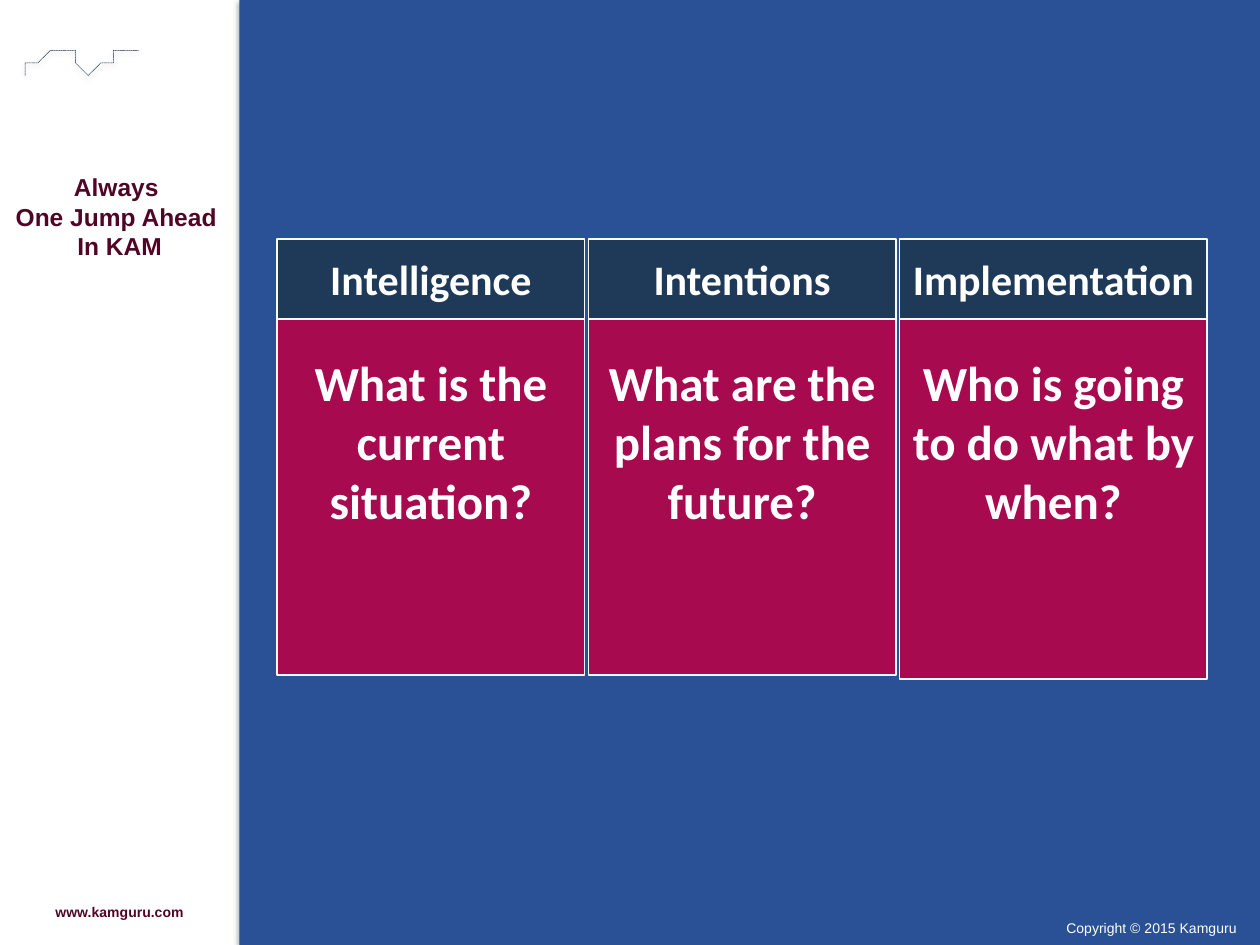
from pptx import Presentation
from pptx.dml.color import RGBColor
from pptx.enum.dml import MSO_LINE
from pptx.enum.shapes import MSO_SHAPE
from pptx.enum.text import MSO_ANCHOR, PP_ALIGN
from pptx.oxml.ns import qn
from pptx.util import Inches, Pt
from lxml.etree import SubElement

HUES = {
    "white": "FFFFFF", "blue": "2A5196", "navy": "1E3A58", "red": "A70A4F",
    "edge": "F8F8F8", "plum": "510526", "wave": "182C4C", "black": "000000",
}
CELL = 0.1  # inches; the slide is a grid of 100 columns by 75 rows


def unit(n):
    return Inches(n * CELL)


class Deck:
    def __init__(self):
        self.prs = Presentation()
        self.prs.slide_width, self.prs.slide_height = unit(100), unit(75)
        self.slide = self.prs.slides.add_slide(self.prs.slide_layouts[6])

    def hue(self, name):
        return RGBColor.from_string(HUES[name])

    def words(self, frame, lines, size, font, hue, bold=True):
        for i, line in enumerate(lines):
            para = frame.paragraphs[0] if i == 0 else frame.add_paragraph()
            para.alignment = PP_ALIGN.CENTER
            run = para.add_run()
            run.text = line
            run.font.size, run.font.name, run.font.bold = Pt(size), font, bold
            run.font.color.rgb = self.hue(hue)

    def shade(self, shape, alpha, dist):
        shape.shadow.inherit = False
        effects = shape._element.spPr.find(qn("a:effectLst"))
        shadow = SubElement(effects, qn("a:outerShdw"), blurRad=str(Pt(3.1)),
                            dist=str(Pt(dist)), dir="5400000", rotWithShape="0")
        color = SubElement(shadow, qn("a:srgbClr"), val=HUES["black"])
        SubElement(color, qn("a:alpha"), val=str(alpha * 1000))

    def rect(self, x, y, w, h, fill, edge=None):
        box = self.slide.shapes.add_shape(
            MSO_SHAPE.RECTANGLE, unit(x), unit(y), unit(w), unit(h))
        box.shadow.inherit = False
        box.fill.solid()
        box.fill.fore_color.rgb = self.hue(fill)
        if edge:
            box.line.color.rgb = self.hue(edge)
            box.line.width = Pt(1)
        else:
            box.line.fill.background()
        return box

    def card(self, x, y, w, h, fill, lines, size, top=None):
        frame = self.rect(x, y, w, h, fill, "edge").text_frame
        frame.vertical_anchor = MSO_ANCHOR.MIDDLE if top is None else MSO_ANCHOR.TOP
        frame.word_wrap = top is not None
        if top is not None:
            frame.margin_top = unit(top)
        self.words(frame, lines, size, "Calibri", "white")

    def label(self, x, y, w, h, lines, size, hue, bold=True):
        box = self.slide.shapes.add_textbox(unit(x), unit(y), unit(w), unit(h))
        box.text_frame.word_wrap = True
        self.words(box.text_frame, lines, size, "Arial", hue, bold)

    def wave(self, start, curves, steps=12):
        points, last = [], start
        for bend in curves:
            ends = (last, *bend)
            for k in range(1, steps + 1):
                t = k / steps
                mix = ((1 - t) ** 3, 3 * t * (1 - t) ** 2, 3 * t * t * (1 - t), t ** 3)
                points.append([sum(m * p[axis] for m, p in zip(mix, ends))
                               for axis in (0, 1)])
            last = bend[-1]
        pen = self.slide.shapes.build_freeform(*start, scale=unit(1))
        pen.add_line_segments(points, close=False)
        line = pen.convert_to_shape()
        line.fill.background()
        line.line.color.rgb = self.hue("wave")
        line.line.width = Pt(0.25)
        line.line.dash_style = MSO_LINE.SQUARE_DOT
        self.shade(line, 38, 1.6)


def main():
    deck = Deck()
    side = 19

    # Main panel, sidebar and footer
    deck.shade(deck.rect(side, 0, 100 - side, 75, "blue"), 35, 1.8)
    deck.label(0, 13.2, side, 10.4, ["Always ", "One Jump Ahead ", "In KAM"], 14, "plum")
    deck.label(0, 71.2, side, 3.8, ["www.kamguru.com"], 8, "plum")
    deck.label(81.9, 72.5, side, 2.5, ["Copyright © 2015 Kamguru"], 8, "white", False)
    deck.wave((1.5, 5.8), [
        ((2.7, 5), (3.9, 4.1), (4.8, 4.1)),
        ((5.7, 4.1), (5.9, 5.6), (6.8, 5.6)),
        ((7.6, 5.6), (9.4, 4.4), (10, 4.1)),
        ((10.7, 3.8), (10.7, 3.9), (10.7, 3.9)),
    ])

    # Three columns: heading over question
    left, top, wide, step, head = 22, 19, 24.4, 24.7, 6.3
    stages = [
        ("Intelligence", ["What is the", "current", "situation?"], 28.3),
        ("Intentions", ["What are the plans for the future?"], 28.3),
        ("Implementation", ["Who is going to do what by when?"], 28.6),
    ]
    for i, (name, ask, tall) in enumerate(stages):
        x = left + i * step
        deck.card(x, top, wide, head, "navy", [name], 24)
        deck.card(x, top + head, wide, tall, "red", ask, 28, top=2.7)

    deck.prs.save("out.pptx")


if __name__ == "__main__":
    main()
